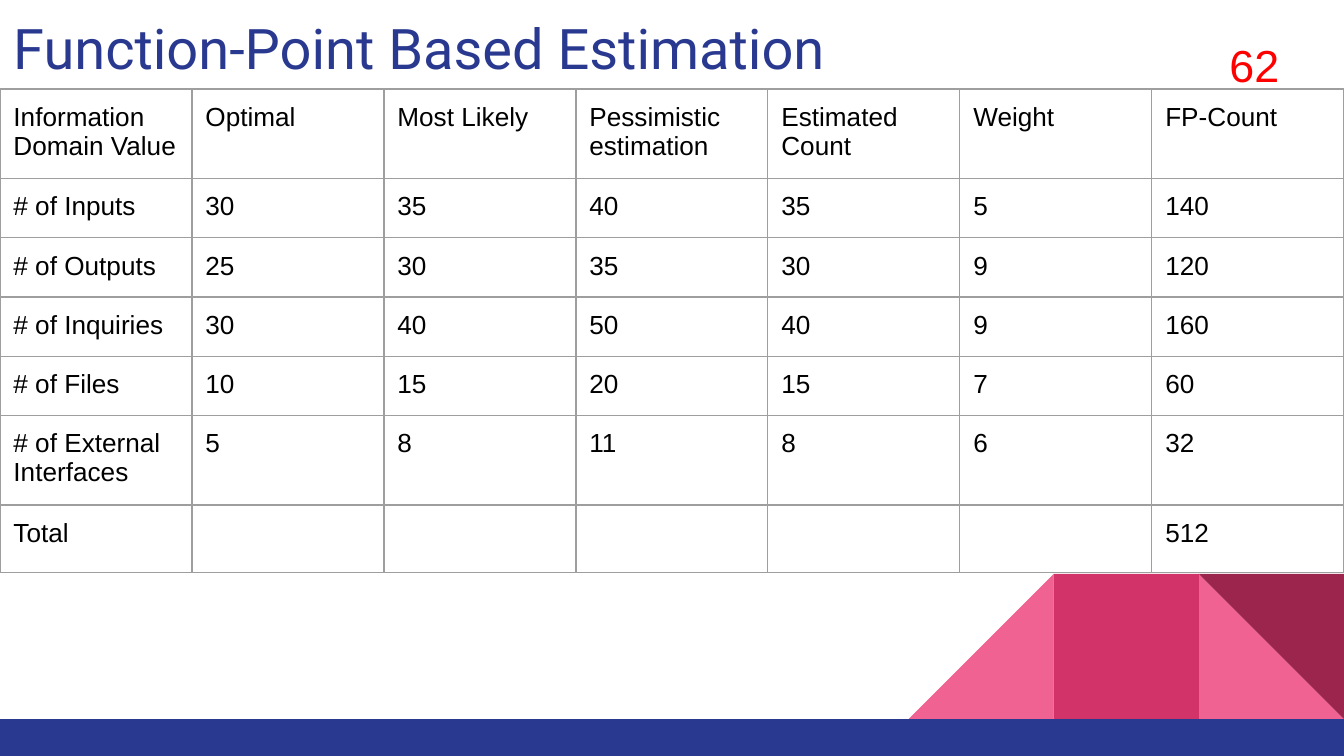
from dataclasses import dataclass

from lxml import etree
from pptx import Presentation
from pptx.dml.color import RGBColor
from pptx.enum import shapes, text
from pptx.oxml.ns import qn
from pptx.util import Pt

NAVY = RGBColor(0x2A, 0x39, 0x90)
PINK = RGBColor(0xF0, 0x62, 0x92)
ROSE = RGBColor(0xD2, 0x33, 0x69)
WINE = RGBColor(0x9C, 0x25, 0x4D)
RED = RGBColor(0xFF, 0, 0)
BLACK = RGBColor(0, 0, 0)
GREY = RGBColor(0x9E, 0x9E, 0x9E)

WIDTH, HEIGHT = 720, 405
INSET = 7.2
TILE = 77.75
BAR_TOP = 385.2
TILE_TOP = BAR_TOP - TILE
TABLE_TOP, HEADER_H, ROW_H = 47.7, 47.5, 31.7
RECT = shapes.MSO_SHAPE.RECTANGLE
TRIANGLE = shapes.MSO_SHAPE.RIGHT_TRIANGLE

ROWS = [
    ["Information Domain Value", "Optimal", "Most Likely", "Pessimistic estimation",
     "Estimated Count", "Weight", "FP-Count"],
    ["# of Inputs", "30", "35", "40", "35", "5", "140"],
    ["# of Outputs", "25", "30", "35", "30", "9", "120"],
    ["# of Inquiries", "30", "40", "50", "40", "9", "160"],
    ["# of Files", "10", "15", "20", "15", "7", "60"],
    ["# of External Interfaces", "5", "8", "11", "8", "6", "32"],
    ["Total", "", "", "", "", "", "512"],
]


@dataclass
class Block:
    kind: shapes.MSO_SHAPE
    x: float
    y: float
    w: float
    h: float
    color: RGBColor
    rotation: float = 0
    flip: bool = False


BLOCKS = [
    Block(TRIANGLE, WIDTH - TILE, TILE_TOP, TILE, TILE, PINK),
    Block(TRIANGLE, WIDTH - 3 * TILE, TILE_TOP, TILE, TILE, PINK, flip=True),
    Block(RECT, WIDTH - 2 * TILE, TILE_TOP, TILE, TILE, ROSE),
    Block(TRIANGLE, WIDTH - TILE, TILE_TOP, TILE, TILE, WINE, rotation=180),
    Block(RECT, 0, BAR_TOP, WIDTH, HEIGHT - BAR_TOP, NAVY),
]


def draw_block(slide, block: Block) -> None:
    sp = slide.shapes.add_shape(block.kind, Pt(block.x), Pt(block.y), Pt(block.w), Pt(block.h))
    sp.shadow.inherit = False
    sp.fill.solid()
    sp.fill.fore_color.rgb = block.color
    sp.line.fill.background()
    sp.rotation = block.rotation
    if block.flip:
        sp._element.spPr.find(qn("a:xfrm")).set("flipH", "1")


def write(tf, content: str, *, size: float, color: RGBColor = BLACK, font: str = "Arial") -> None:
    r = tf.paragraphs[0].add_run()
    r.text = content
    r.font.size = Pt(size)
    r.font.name = font
    r.font.color.rgb = color


def add_label(slide, x: float, y: float, w: float, h: float, content: str, *,
              anchor=text.MSO_ANCHOR.TOP, bottom: float = INSET, **style) -> None:
    tf = slide.shapes.add_textbox(Pt(x), Pt(y), Pt(w), Pt(h)).text_frame
    tf.word_wrap = True
    tf.vertical_anchor = anchor
    tf.margin_left = tf.margin_right = tf.margin_top = Pt(INSET)
    tf.margin_bottom = Pt(bottom)
    write(tf, content, **style)


def style_cell(cell) -> None:
    cell.margin_left = cell.margin_right = cell.margin_top = cell.margin_bottom = Pt(INSET)
    tc_pr = cell._tc.get_or_add_tcPr()
    for side in ("lnL", "lnR", "lnT", "lnB"):
        ln = etree.SubElement(tc_pr, qn(f"a:{side}"), w=str(Pt(0.75)))
        fill = etree.SubElement(ln, qn("a:solidFill"))
        etree.SubElement(fill, qn("a:srgbClr"), val=str(GREY))
    cell.fill.background()


def draw_table(slide, rows: list[list[str]]) -> None:
    heights = [HEADER_H] + [ROW_H] * (len(rows) - 1)
    table = slide.shapes.add_table(len(rows), len(rows[0]), Pt(0), Pt(TABLE_TOP),
                                   Pt(WIDTH), Pt(sum(heights))).table
    table.first_row = table.horz_banding = False
    for i, values in enumerate(rows):
        table.rows[i].height = Pt(heights[i])
        for j, value in enumerate(values):
            cell = table.cell(i, j)
            style_cell(cell)
            if value:
                write(cell.text_frame, value, size=14)


def main() -> None:
    prs = Presentation()
    prs.slide_width, prs.slide_height = Pt(WIDTH), Pt(HEIGHT)
    slide = prs.slides.add_slide(prs.slide_layouts[6])
    for block in BLOCKS:
        draw_block(slide, block)
    add_label(slide, 0, 0, 458, 47.5, "Function-Point Based Estimation",
              size=30, color=NAVY, font="Roboto")
    draw_table(slide, ROWS)
    add_label(slide, 651.6, 10.8, 55.4, 51.8, "62", size=24, color=RED,
              anchor=text.MSO_ANCHOR.MIDDLE, bottom=11)
    prs.save("out.pptx")


if __name__ == "__main__":
    main()
